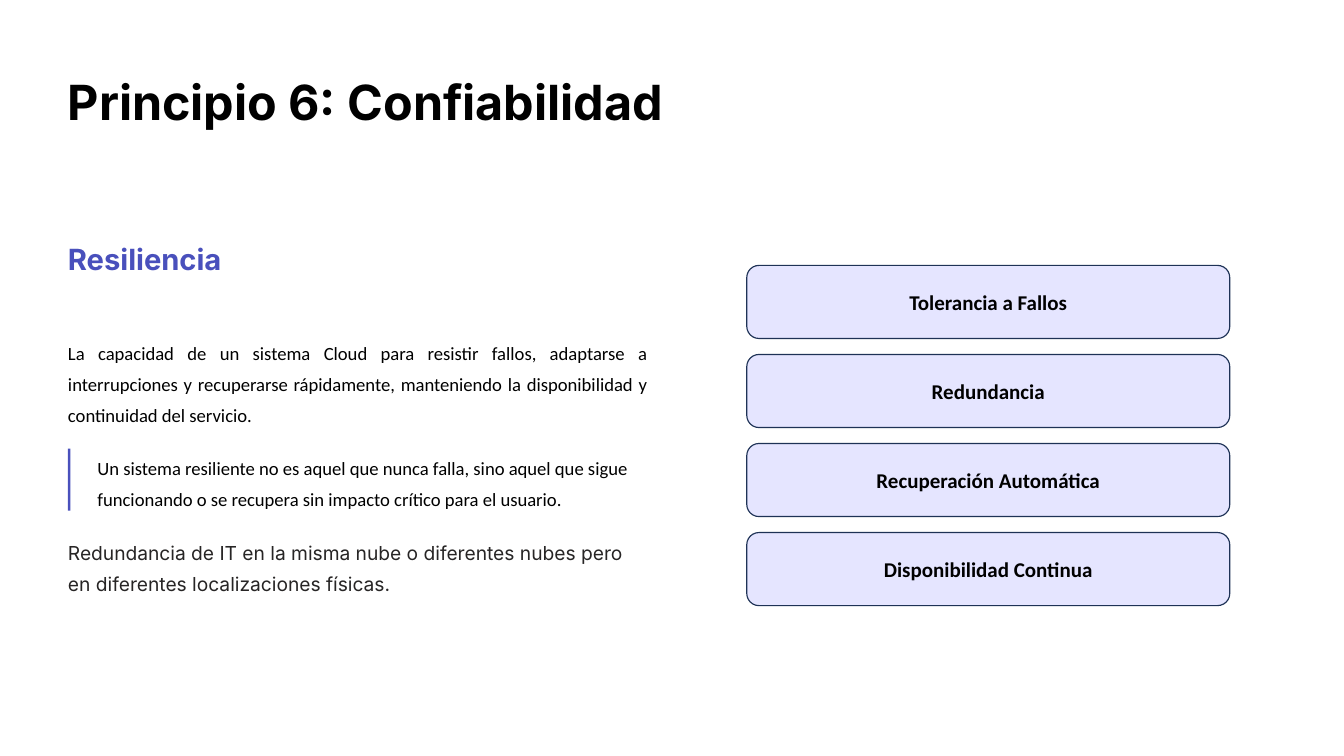
from dataclasses import dataclass

from pptx import Presentation
from pptx.dml.color import RGBColor
from pptx.enum.shapes import MSO_SHAPE
from pptx.enum.text import MSO_ANCHOR, PP_ALIGN
from pptx.util import Inches, Pt


@dataclass(frozen=True)
class TextStyle:
    font: str
    size: float
    color: str
    bold: bool = False
    line_spacing: float = None
    align: PP_ALIGN = PP_ALIGN.LEFT


@dataclass(frozen=True)
class Theme:
    background: str = "FFFFFF"
    accent: str = "4950BC"
    card_fill: str = "E5E5FF"
    card_line: str = "1E3256"
    title: TextStyle = TextStyle("Inter", 41.5, "000000", True, 52)
    heading: TextStyle = TextStyle("Inter", 25, "4950BC", True, 31)
    definition: TextStyle = TextStyle("Calibri", 16, "000000", False, 26.5, PP_ALIGN.JUSTIFY)
    quote: TextStyle = TextStyle("Calibri", 16, "000000", False, 26.5)
    note: TextStyle = TextStyle("Inter", 16.5, "272525", False, 26.5)
    card: TextStyle = TextStyle("Calibri", 18, "000000", True, None, PP_ALIGN.CENTER)


THEME = Theme()

LEFT = 0.81
COLUMN_WIDTH = 6.9
QUOTE_INDENT = 0.35
QUOTE_TOP, QUOTE_HEIGHT = 5.34, 0.74

TEXTS = [
    ("Principio 6: Confiabilidad", THEME.title, (LEFT, 0.83, 14.37, 1.45)),
    ("Resiliencia", THEME.heading, (LEFT, 2.86, COLUMN_WIDTH, 0.87)),
    ("La capacidad de un sistema Cloud para resistir fallos, adaptarse a interrupciones y "
     "recuperarse rápidamente, manteniendo la disponibilidad y continuidad del servicio.",
     THEME.definition, (LEFT, 3.97, COLUMN_WIDTH, 1.12)),
    ("Un sistema resiliente no es aquel que nunca falla, sino aquel que sigue funcionando "
     "o se recupera sin impacto crítico para el usuario.",
     THEME.quote, (LEFT + QUOTE_INDENT, QUOTE_TOP, COLUMN_WIDTH - QUOTE_INDENT, QUOTE_HEIGHT)),
    ("Redundancia de IT en la misma nube o diferentes nubes pero en diferentes "
     "localizaciones físicas.", THEME.note, (LEFT, 6.35, COLUMN_WIDTH, 0.74)),
]

CARDS = ["Tolerancia a Fallos", "Redundancia", "Recuperación Automática", "Disponibilidad Continua"]
CARD_LEFT, CARD_TOP, CARD_WIDTH, CARD_HEIGHT = 8.89, 3.16, 5.75, 0.87
CARD_GAP = 0.19


def write_text(frame, text, style):
    frame.word_wrap = True
    paragraph = frame.paragraphs[0]
    paragraph.text = text
    paragraph.alignment = style.align
    if style.line_spacing:
        paragraph.line_spacing = Pt(style.line_spacing)
    font = paragraph.font
    font.name = style.font
    font.size = Pt(style.size)
    font.bold = style.bold
    font.color.rgb = RGBColor.from_string(style.color)


def add_text(slide, text, style, box):
    frame = slide.shapes.add_textbox(*map(Inches, box)).text_frame
    frame.margin_left = frame.margin_top = frame.margin_right = frame.margin_bottom = 0
    write_text(frame, text, style)


def add_box(slide, kind, box, fill, line=None):
    shape = slide.shapes.add_shape(kind, *map(Inches, box))
    shape.shadow.inherit = False
    shape.fill.solid()
    shape.fill.fore_color.rgb = RGBColor.from_string(fill)
    if line:
        shape.line.color.rgb = RGBColor.from_string(line)
        shape.line.width = Pt(1)
    else:
        shape.line.fill.background()
    return shape


def main():
    presentation = Presentation()
    presentation.slide_width, presentation.slide_height = Inches(16), Inches(9)
    slide = presentation.slides.add_slide(presentation.slide_layouts[6])
    slide.background.fill.solid()
    slide.background.fill.fore_color.rgb = RGBColor.from_string(THEME.background)

    for text, style, box in TEXTS:
        add_text(slide, text, style, box)
    add_box(slide, MSO_SHAPE.RECTANGLE, (LEFT, QUOTE_TOP, 0.03, QUOTE_HEIGHT), THEME.accent)

    for index, label in enumerate(CARDS):
        top = CARD_TOP + index * (CARD_HEIGHT + CARD_GAP)
        card = add_box(slide, MSO_SHAPE.ROUNDED_RECTANGLE,
                       (CARD_LEFT, top, CARD_WIDTH, CARD_HEIGHT),
                       THEME.card_fill, THEME.card_line)
        card.text_frame.vertical_anchor = MSO_ANCHOR.MIDDLE
        write_text(card.text_frame, label, THEME.card)

    presentation.save("out.pptx")


if __name__ == "__main__":
    main()
